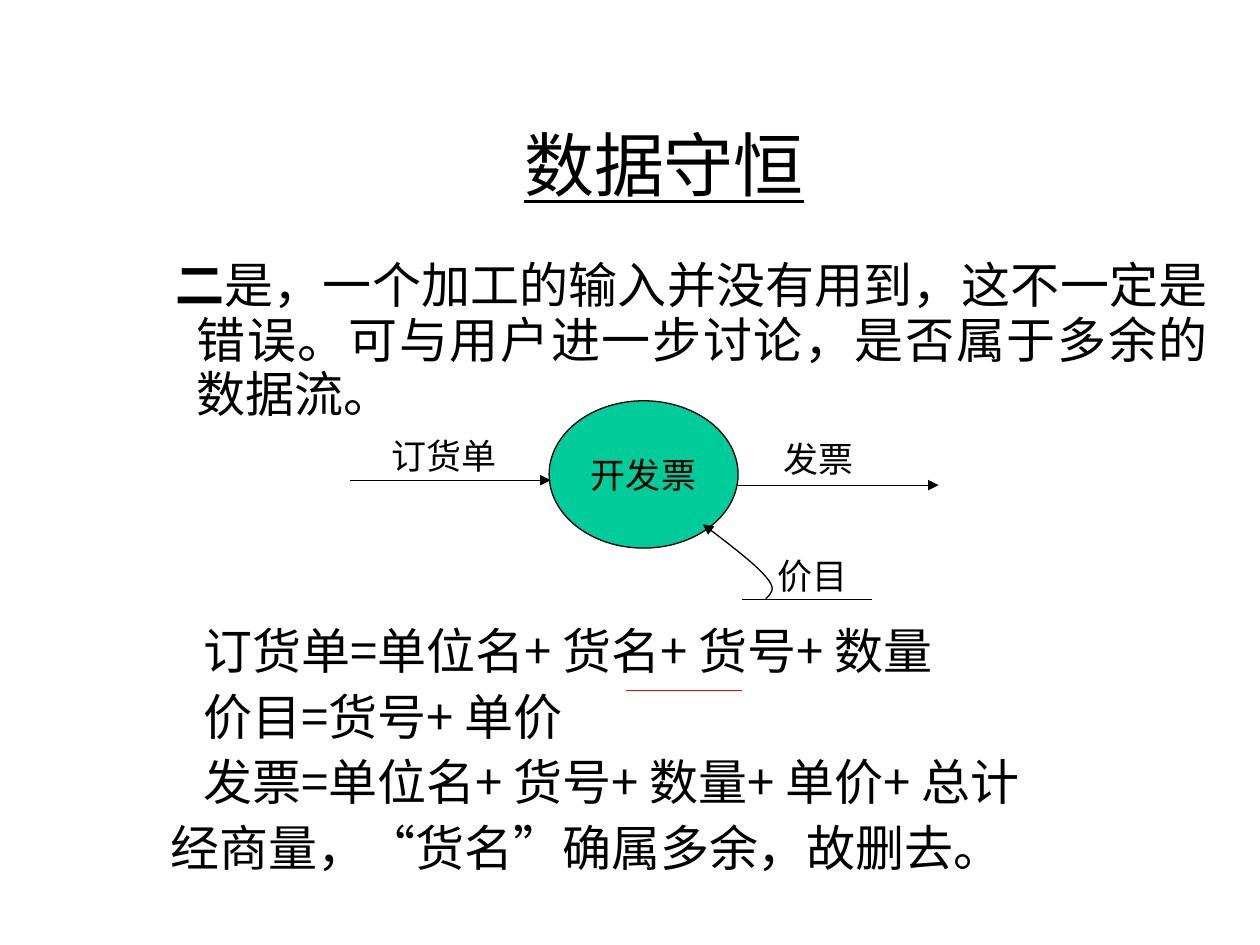
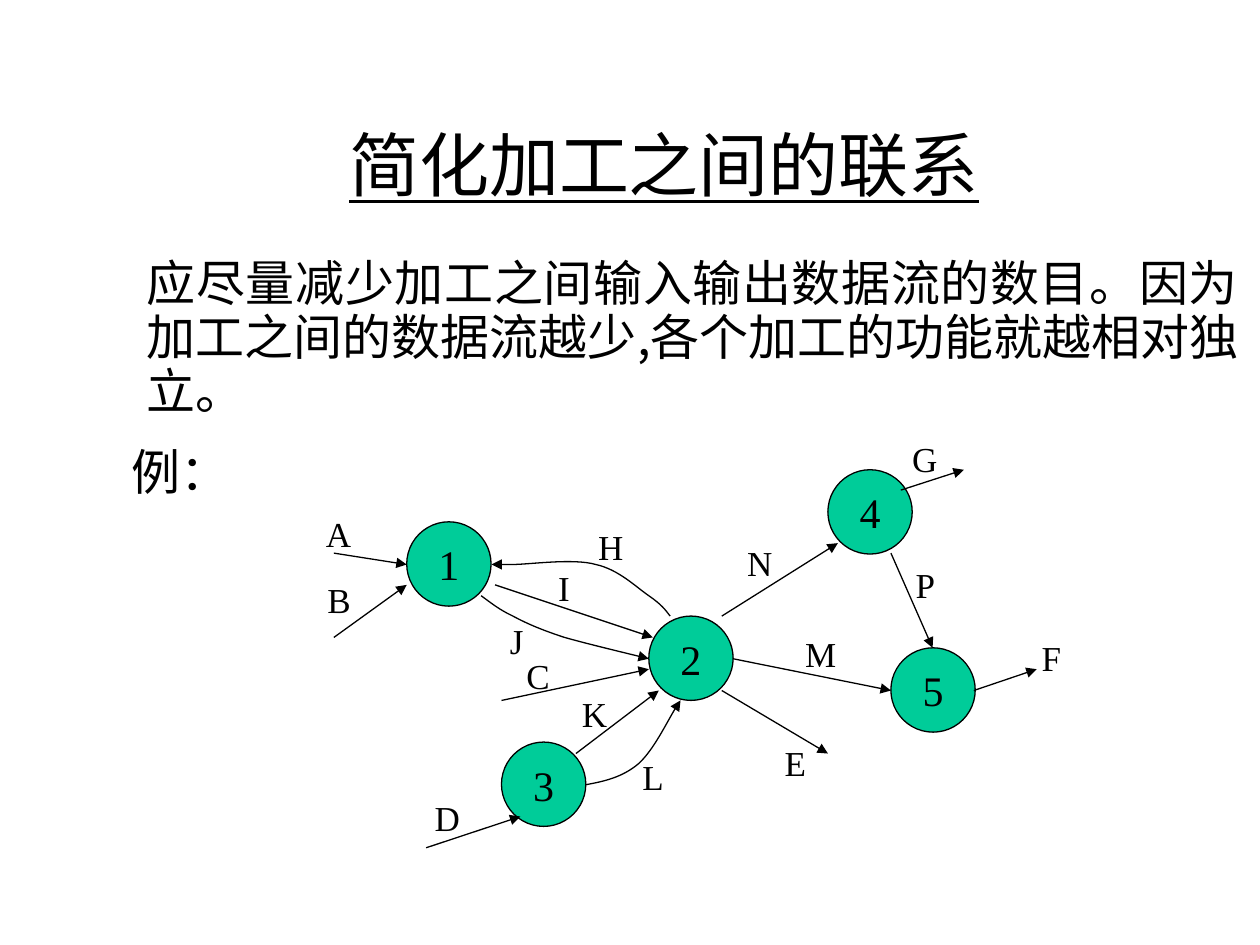
"""Build two slides on data conservation and simpler links between processes."""
from dataclasses import dataclass

from lxml import etree
from pptx import Presentation
from pptx.dml.color import RGBColor
from pptx.enum.shapes import MSO_CONNECTOR, MSO_SHAPE
from pptx.enum.text import MSO_ANCHOR, MSO_AUTO_SIZE, PP_ALIGN
from pptx.oxml.ns import qn
from pptx.util import Cm, Pt

STRAIGHT = MSO_CONNECTOR.STRAIGHT
PROCESS = MSO_SHAPE.FLOWCHART_CONNECTOR
TOP, MIDDLE = MSO_ANCHOR.TOP, MSO_ANCHOR.MIDDLE
FIXED_SIZE = MSO_AUTO_SIZE.NONE
LEFT, CENTER, JUSTIFY = PP_ALIGN.LEFT, PP_ALIGN.CENTER, PP_ALIGN.JUSTIFY


@dataclass(frozen=True)
class Theme:
    """Hold the colours, typefaces and sizes of both slides."""
    ink: RGBColor = RGBColor(0x00, 0x00, 0x00)
    process: RGBColor = RGBColor(0x00, 0xCC, 0x99)
    mark: RGBColor = RGBColor(0xFF, 0x00, 0x00)
    serif: str = "Times New Roman"
    sans: str = "Noto Sans CJK SC"
    title: Pt = Pt(40)
    body: Pt = Pt(28)
    number: Pt = Pt(24)
    label: Pt = Pt(20)
    leading: Pt = Pt(31)
    stroke: Pt = Pt(0.75)


THEME = Theme()
TITLE_BOX = (3.35, 1.7, 20.07, 3.18)
LETTER_SIZE = (1.07, 1.12)
NODE_SIZE = (1.7, 1.7)
HANGING = 0.97

NODES = {"1": (8.2, 10.52), "2": (13.08, 12.42), "3": (10.11, 14.96),
         "5": (17.96, 13.06), "4": (16.69, 9.47)}

STRAIGHT_FLOWS = {
    "A": ((6.73, 11.15), (8.2, 11.38)),
    "B": ((6.73, 12.85), (8.2, 11.79)),
    "D": ((8.59, 17.09), (10.49, 16.46)),
    "C": ((10.11, 14.12), (13.08, 13.49)),
    "K": ((11.61, 15.19), (13.28, 13.92)),
    "I": ((9.98, 11.79), (13.16, 12.85)),
    "N": ((14.55, 12.42), (16.89, 10.95)),
    "M": ((14.78, 13.28), (17.96, 13.92)),
    "E": ((14.55, 13.92), (16.69, 15.19)),
    "F": ((19.63, 13.92), (20.9, 13.49)),
    "G": ((18.16, 9.88), (19.43, 9.47)),
    "P": ((17.96, 11.15), (18.8, 13.06)),
}

CURVED_FLOWS = {
    "H": [(13.51, 12.42),
          (13.41, 12.29), (13.34, 12.19), (13.08, 12.01),
          (12.83, 11.84), (12.47, 11.48), (12.01, 11.38),
          (11.56, 11.25), (10.67, 11.38), (10.34, 11.38),
          (9.98, 11.38), (9.98, 11.38), (9.91, 11.38)],
    "J": [(9.7, 12.01),
          (9.88, 12.14), (10.06, 12.29), (10.34, 12.42),
          (10.62, 12.57), (10.92, 12.7), (11.38, 12.85),
          (11.84, 12.98), (12.8, 13.21), (13.08, 13.28)],
    "L": [(11.81, 15.82),
          (12.19, 15.75), (12.55, 15.67), (12.88, 15.39),
          (13.18, 15.11), (13.56, 14.33), (13.72, 14.12)],
}

PRICE_FLOW = [(15.44, 12.07),
              (15.54, 11.96), (15.67, 11.89), (15.44, 11.63),
              (15.24, 11.38), (14.4, 10.74), (14.17, 10.57)]

FLOW_LETTERS = {
    "A": (6.32, 10.21), "B": (6.35, 11.53), "H": (11.81, 10.46),
    "J": (10.03, 12.37), "I": (11, 11.3), "C": (10.36, 13.06),
    "D": (8.51, 15.93), "K": (11.48, 13.84), "L": (12.7, 15.11),
    "N": (14.81, 10.8), "M": (15.98, 12.62), "P": (18.21, 11.23),
    "E": (15.57, 14.83), "F": (20.75, 12.7), "G": (18.14, 8.69),
}


def apply(target, values):
    """Set every attribute named in values on the target."""
    for name, value in values.items():
        setattr(target, name, value)


def place(shape, box):
    """Move and size a shape to a box in centimetres."""
    apply(shape, dict(zip(("left", "top", "width", "height"), map(Cm, box))))


def add_run(paragraph, text, font, size, **extra):
    """Append a run in a Latin typeface, with the shared East Asian one."""
    run = paragraph.add_run()
    run.text = text
    apply(run.font, {"name": font, "size": size, **extra})
    run.font.color.rgb = THEME.ink
    latin = run.font._element.find(qn("a:latin"))
    latin.addnext(etree.Element(qn("a:ea"), typeface=THEME.sans))


def add_title(slide, text, font):
    """Fill the title placeholder with an underlined heading."""
    title = slide.shapes.title
    place(title, TITLE_BOX)
    apply(title.text_frame, {"vertical_anchor": MIDDLE, "auto_size": FIXED_SIZE})
    heading = title.text_frame.paragraphs[0]
    heading.alignment = CENTER
    add_run(heading, text, font, THEME.title, underline=True)


def add_body(slide, box, passages):
    """Fill the body from (runs, margin, first line, space before) passages."""
    body = slide.placeholders[1]
    place(body, box)
    frame = body.text_frame
    apply(frame, {"vertical_anchor": TOP, "auto_size": FIXED_SIZE,
                  "word_wrap": True, "margin_top": Cm(0.35)})
    for index, (runs, margin, first_line, before) in enumerate(passages):
        passage = frame.add_paragraph() if index else frame.paragraphs[0]
        apply(passage, {"alignment": JUSTIFY, "line_spacing": THEME.leading,
                        "space_before": Pt(before)})
        properties = passage._p.get_or_add_pPr()
        properties.set("marL", str(Cm(margin)))
        properties.set("indent", str(Cm(first_line - margin)))
        etree.SubElement(properties, qn("a:buNone"))
        for text, font, bold in runs:
            add_run(passage, text, font, THEME.body, bold=bold)


def plain(text):
    """Return a single regular run of body text."""
    return [(text, THEME.sans, False)]


def style_line(shape, color=THEME.ink, arrow=False):
    """Give an outline its colour and width, with an arrowhead if asked."""
    shape.line.color.rgb = color
    shape.line.width = THEME.stroke
    if arrow:
        outline = shape._element.spPr.find(qn("a:ln"))
        etree.SubElement(outline, qn("a:tailEnd"), type="triangle")


def add_line(slide, start, end, color=THEME.ink, arrow=False):
    """Draw a straight line between two points."""
    line = slide.shapes.add_connector(STRAIGHT, *map(Cm, start + end))
    style_line(line, color, arrow)
    etree.SubElement(line._element.spPr, qn("a:effectLst"))


def add_curve(slide, points):
    """Draw an arrow of Bézier segments, three points after the first each."""
    start, *controls = [tuple(map(Cm, point)) for point in points]
    builder = slide.shapes.build_freeform(*start)
    builder.add_line_segments(controls, close=False)
    curve = builder.convert_to_shape()
    curve.fill.background()
    curve.shadow.inherit = False
    style_line(curve, arrow=True)
    steps = list(curve._element.iter(qn("a:lnTo")))
    for first in range(0, len(steps), 3):
        bend = etree.Element(qn("a:cubicBezTo"))
        steps[first].addprevious(bend)
        for step in steps[first:first + 3]:
            bend.append(step[0])
            step.getparent().remove(step)


def add_process(slide, box, text, size):
    """Draw a green process bubble with its name."""
    bubble = slide.shapes.add_shape(PROCESS, *map(Cm, box))
    bubble.shadow.inherit = False
    bubble.fill.solid()
    bubble.fill.fore_color.rgb = THEME.process
    style_line(bubble)
    apply(bubble.text_frame, {"vertical_anchor": MIDDLE, "word_wrap": False})
    name = bubble.text_frame.paragraphs[0]
    name.alignment = CENTER
    add_run(name, text, THEME.serif, size)


def add_label(slide, box, text):
    """Write the name of a data flow."""
    label = slide.shapes.add_textbox(*map(Cm, box))
    label.text_frame.word_wrap = True
    name = label.text_frame.paragraphs[0]
    name.alignment = LEFT
    add_run(name, text, THEME.serif, THEME.label)


def build_conservation(slide):
    """Show the invoice process and its unused input."""
    add_title(slide, "数据守恒", THEME.serif)
    finding = [("二", THEME.sans, True),
               *plain("是，一个加工的输入并没有用到，这不一定是错误。"
                      "可与用户进一步讨论，是否属于多余的数据流。")]
    conclusion = [*plain("经商量，"), ("“", THEME.serif, False),
                  *plain("货名"), ("”", THEME.serif, False),
                  *plain("确属多余，故删去。")]
    add_body(slide, (2.74, 4.88, 21.87, 13.34), [
        (finding, HANGING, 0.54, 0),
        (plain("订货单=单位名+ 货名+ 货号+ 数量"), 1.11, 1.11, 116),
        (plain("价目=货号+ 单价"), 1.11, 1.11, 6.4),
        (plain("发票=单位名+ 货号+ 数量+ 单价+ 总计"), 1.11, 1.11, 6.4),
        (conclusion, HANGING, 0.45, 6.4),
    ])
    add_process(slide, (11.07, 8.08, 3.81, 2.97), "开发票", THEME.label)
    add_line(slide, (14.96, 12.09), (17.58, 12.09))
    add_line(slide, (7.06, 9.68), (11.1, 9.68), arrow=True)
    add_line(slide, (14.88, 9.78), (18.92, 9.78), arrow=True)
    add_curve(slide, PRICE_FLOW)
    add_label(slide, (15.42, 11.05, 2.11, 1.12), "价目")
    add_label(slide, (15.54, 8.69, 1.98, 1.12), "发票")
    add_label(slide, (7.65, 8.64, 3.18, 1.12), "订货单")
    add_line(slide, (12.62, 13.92), (14.96, 13.92), THEME.mark)


def build_simplification(slide):
    """Show five processes and the flows that link them."""
    add_title(slide, "简化加工之间的联系", THEME.sans)
    advice = ("应尽量减少加工之间输入输出数据流的数目。因为加工之间的数据流越少,"
              "各个加工的功能就越相对独立。")
    add_body(slide, (1.73, 4.83, 23.5, 5.54), [
        (plain(advice), HANGING, HANGING, 0),
        (plain("例："), HANGING, 0.67, 15),
    ])
    for number, corner in NODES.items():
        add_process(slide, corner + NODE_SIZE, number, THEME.number)
    for start, end in STRAIGHT_FLOWS.values():
        add_line(slide, start, end, arrow=True)
    for points in CURVED_FLOWS.values():
        add_curve(slide, points)
    for letter, corner in FLOW_LETTERS.items():
        add_label(slide, corner + LETTER_SIZE, letter)


def main():
    """Build both slides and save the presentation."""
    presentation = Presentation()
    apply(presentation, {"slide_width": Cm(25.4), "slide_height": Cm(19.05)})
    layout = presentation.slide_layouts[1]
    for build in (build_conservation, build_simplification):
        build(presentation.slides.add_slide(layout))
    presentation.save("out.pptx")


if __name__ == "__main__":
    main()
